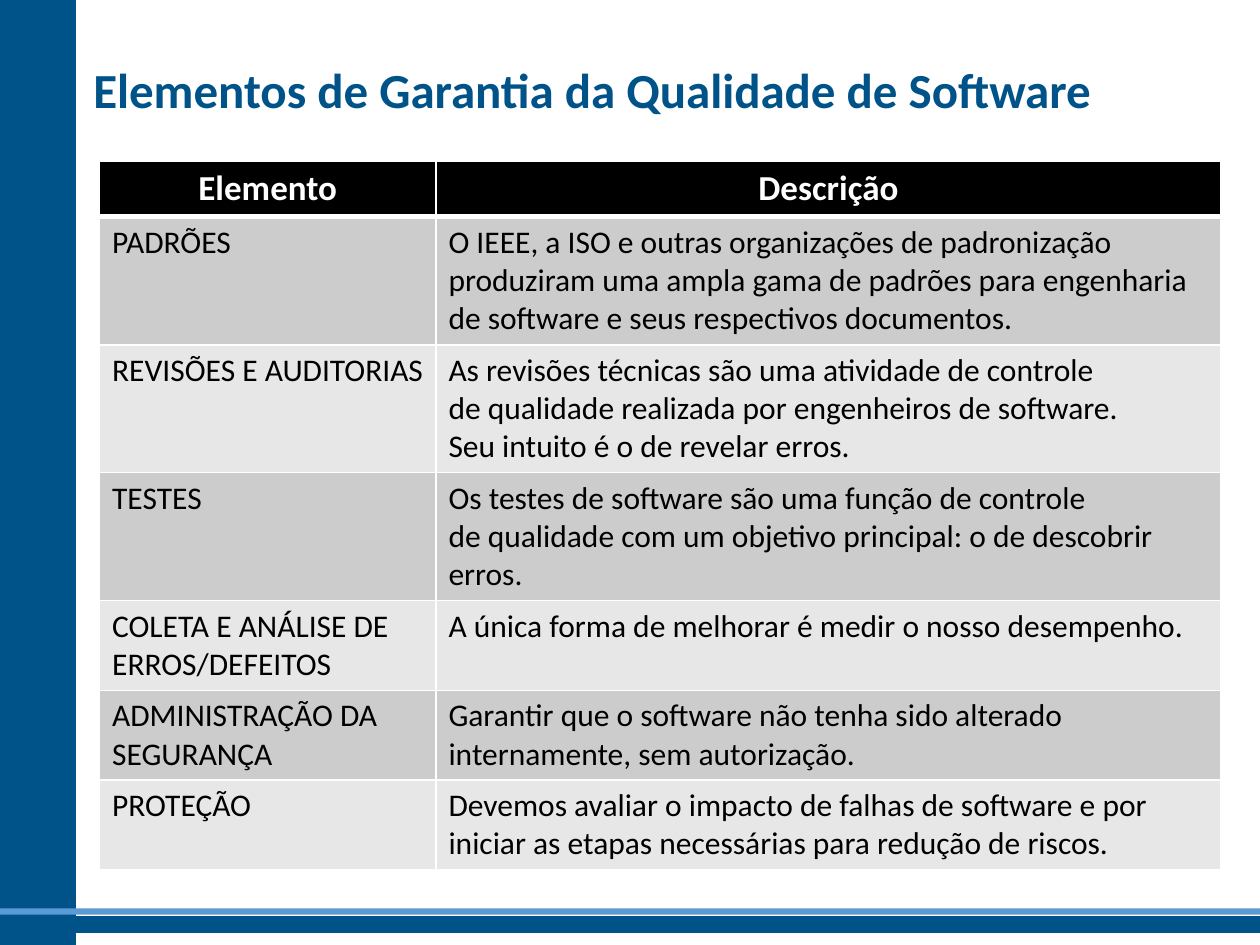
from dataclasses import dataclass
from typing import Optional

from lxml import etree
from pptx import Presentation
from pptx import util as u
from pptx.dml.color import RGBColor
from pptx.enum import shapes, text
from pptx.oxml import ns

COLORS = {
    "navy": "005388",
    "sky": "5B9BD5",
    "white": "FFFFFF",
    "black": "000000",
    "dark_band": "CCCCCC",
    "light_band": "E7E7E7",
}
FONT = "Calibri"


@dataclass
class Bar:
    left: float
    top: float
    width: float
    height: float
    color: str
    line: Optional[str] = None


@dataclass
class Element:
    name: list[str]
    description: list[str]
    height: float


BARS = [
    Bar(0, 0, 0.6, 7.5, "navy", "navy"),
    Bar(0, 7.28, 10, 0.12, "navy", "navy"),
    Bar(0, 7.21, 10, 0.05, "sky"),
]

HEADER = Element(["Elemento"], ["Descrição"], 0.4)

ELEMENTS = [
    Element(["PADRÕES"], [
        "O IEEE, a ISO e outras organizações de padronização",
        "produziram uma ampla gama de padrões para engenharia "
        "de software e seus respectivos documentos.",
    ], 0.92),
    Element(["REVISÕES E AUDITORIAS"], [
        "As revisões técnicas são uma atividade de controle",
        "de qualidade realizada por engenheiros de software.",
        "Seu intuito é o de revelar erros.",
    ], 0.92),
    Element(["TESTES"], [
        "Os testes de software são uma função de controle",
        "de qualidade com um objetivo principal: o de descobrir erros.",
    ], 0.68),
    Element(["COLETA E ANÁLISE DE", "ERROS/DEFEITOS"], [
        "A única forma de melhorar é medir o nosso desempenho.",
    ], 0.68),
    Element(["ADMINISTRAÇÃO DA", "SEGURANÇA"], [
        "Garantir que o software não tenha sido alterado "
        "internamente, sem autorização.",
    ], 0.68),
    Element(["PROTEÇÃO"], [
        "Devemos avaliar o impacto de falhas de software e por "
        "iniciar as etapas necessárias para redução de riscos.",
    ], 0.68),
]


def rgb(name: str) -> RGBColor:
    return RGBColor.from_string(COLORS[name])


def write(frame, lines: list[str], size: int, color: str, bold: bool, align) -> None:
    for index, line in enumerate(lines):
        para = frame.paragraphs[0] if index == 0 else frame.add_paragraph()
        para.alignment = align
        span = para.add_run()
        span.text = line
        span.font.name = FONT
        span.font.size = u.Pt(size)
        span.font.bold = bold
        span.font.color.rgb = rgb(color)


def draw_bar(page, bar: Bar) -> None:
    box = page.shapes.add_shape(
        shapes.MSO_SHAPE.RECTANGLE,
        u.Inches(bar.left), u.Inches(bar.top),
        u.Inches(bar.width), u.Inches(bar.height),
    )
    box.shadow.inherit = False
    box.fill.solid()
    box.fill.fore_color.rgb = rgb(bar.color)
    if bar.line:
        box.line.color.rgb = rgb(bar.line)
        box.line.width = u.Pt(1)
    else:
        box.line.fill.background()


def draw_title(page, title: str) -> None:
    box = page.shapes.title
    box.left, box.top = u.Inches(0.64), u.Inches(0.19)
    box.width, box.height = u.Inches(9.32), u.Inches(1.03)
    frame = box.text_frame
    frame.word_wrap = True
    frame.auto_size = text.MSO_AUTO_SIZE.NONE
    frame.vertical_anchor = text.MSO_ANCHOR.MIDDLE
    write(frame, [title], 28, "navy", True, text.PP_ALIGN.LEFT)


def set_borders(cell, top: float, bottom: float) -> None:
    properties = cell._tc.get_or_add_tcPr()
    for side, width in {"L": 1, "R": 1, "T": top, "B": bottom}.items():
        line = etree.SubElement(properties, ns.qn(f"a:ln{side}"), w=str(u.Pt(width)))
        fill = etree.SubElement(line, ns.qn("a:solidFill"))
        etree.SubElement(fill, ns.qn("a:srgbClr"), val=COLORS["white"])


def draw_table(page, header: Element, elements: list[Element]) -> None:
    rows = [header, *elements]
    holder = page.shapes.add_table(
        len(rows), 2, u.Inches(0.79), u.Inches(1.28), u.Inches(8.9), u.Inches(5.53)
    )
    table = holder.table
    for column, width in zip(table.columns, (2.67, 6.23)):
        column.width = u.Inches(width)
    for index, element in enumerate(rows):
        table.rows[index].height = u.Inches(element.height)
        is_header = index == 0
        band = "black" if is_header else ("light_band", "dark_band")[index % 2]
        for cell, lines in zip(table.rows[index].cells, (element.name, element.description)):
            set_borders(cell, 3 if index == 1 else 1, 3 if is_header else 1)
            cell.fill.solid()
            cell.fill.fore_color.rgb = rgb(band)
            if is_header:
                write(cell.text_frame, lines, 20, "white", True, text.PP_ALIGN.CENTER)
            else:
                write(cell.text_frame, lines, 18, "black", False, text.PP_ALIGN.LEFT)
    holder.height = u.Inches(5.53)


def main() -> None:
    deck = Presentation()
    deck.slide_width, deck.slide_height = u.Inches(10), u.Inches(7.5)
    page = deck.slides.add_slide(deck.slide_layouts[5])
    for bar in BARS:
        draw_bar(page, bar)
    draw_title(page, "Elementos de Garantia da Qualidade de Software")
    draw_table(page, HEADER, ELEMENTS)
    deck.save("out.pptx")


if __name__ == "__main__":
    main()
